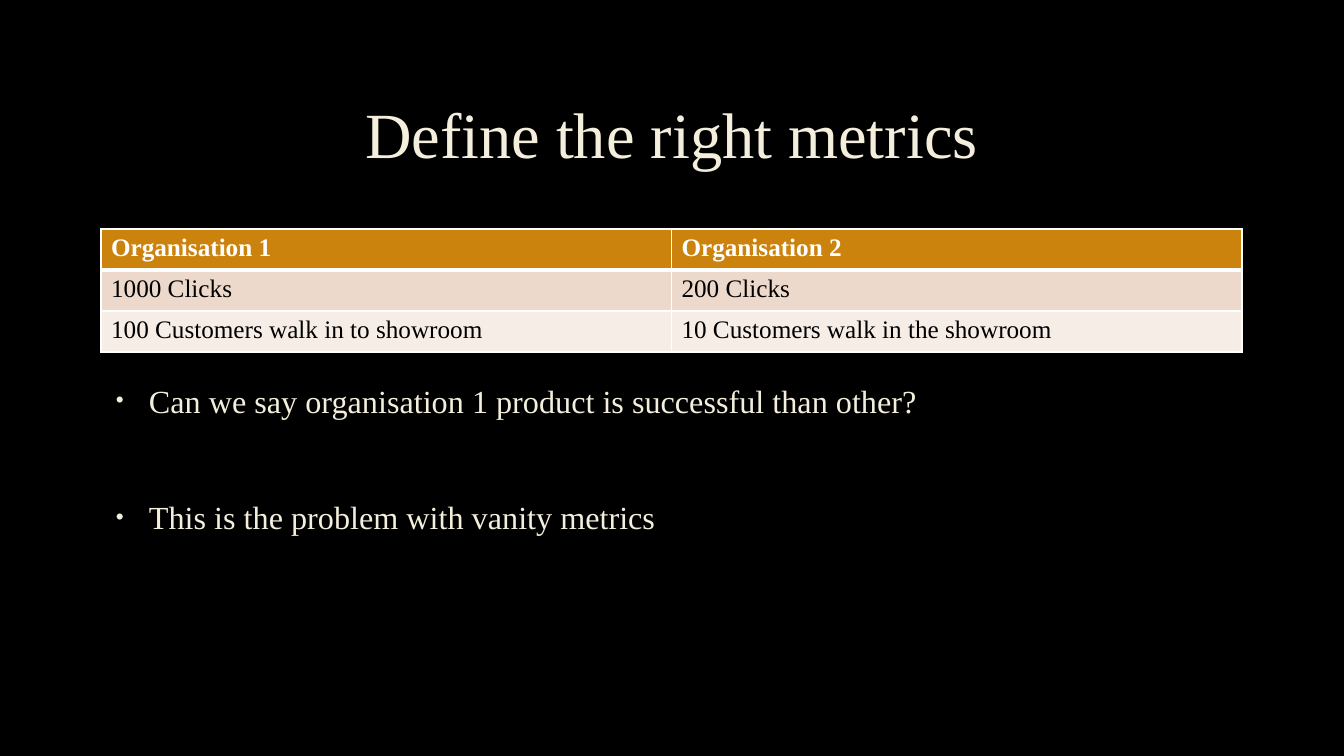
"""Build the slide about defining the right metrics."""
from lxml import etree
from pptx import Presentation
from pptx.dml.color import RGBColor
from pptx.enum.text import MSO_ANCHOR, PP_ALIGN
from pptx.oxml.ns import qn
from pptx.util import Pt

TITLE = "Define the right metrics"
ROWS = [
    ("Organisation 1", "Organisation 2"),
    ("1000 Clicks", "200 Clicks"),
    ("100 Customers walk in to showroom", "10 Customers walk in the showroom"),
]
BULLETS = [
    "Can we say organisation 1 product is successful than other?",
    "This is the problem with vanity metrics",
]

FONT = "Times New Roman"
BLACK = RGBColor(0x00, 0x00, 0x00)
WHITE = RGBColor(0xFF, 0xFF, 0xFF)
CREAM = RGBColor(0xF4, 0xEE, 0xDC)
ROW_FILLS = [
    RGBColor(0xCC, 0x83, 0x0E),
    RGBColor(0xEC, 0xD9, 0xCC),
    RGBColor(0xF6, 0xED, 0xE7),
]
CENTER = PP_ALIGN.CENTER
MIDDLE = MSO_ANCHOR.MIDDLE

SCALE = 12192000 / 1344
LEFT, WIDTH = 101, 1141
TITLE_TOP, TITLE_HEIGHT = 68, 139
TABLE_TOP, ROW_HEIGHT = 229, 41
BODY_TOP, BODY_HEIGHT, BODY_INSET = 366, 283, 11
BULLET_INDENT, BULLET_HANG = 38, 33
BULLET_GAP = 53


def px(length):
    return round(length * SCALE)


def style_font(font, size, color, bold=False):
    font.name = FONT
    font.size = Pt(size)
    font.bold = bold
    font.color.rgb = color


def add_text_frame(slide, top, height):
    box = slide.shapes.add_textbox(px(LEFT), px(top), px(WIDTH), px(height))
    box.text_frame.word_wrap = True
    return box.text_frame


def add_child(parent, tag, **attributes):
    return etree.SubElement(parent, qn(tag), attributes)


def add_borders(cell, widths):
    properties = cell._tc.get_or_add_tcPr()
    for index, (side, width) in enumerate(widths.items()):
        line = etree.Element(qn(f"a:{side}"), w=str(Pt(width)))
        fill = add_child(line, "a:solidFill")
        add_child(fill, "a:srgbClr", val=str(WHITE))
        properties.insert(index, line)


def add_bullet(paragraph):
    properties = paragraph._p.get_or_add_pPr()
    properties.set("marL", str(px(BULLET_INDENT)))
    properties.set("indent", str(-px(BULLET_HANG)))
    color = add_child(properties, "a:buClr")
    add_child(color, "a:srgbClr", val=str(CREAM))
    add_child(properties, "a:buSzPct", val="70000")
    add_child(properties, "a:buFont", typeface="Arial")
    add_child(properties, "a:buChar", char="•")


def add_title(slide):
    frame = add_text_frame(slide, TITLE_TOP, TITLE_HEIGHT)
    frame.vertical_anchor = MIDDLE
    paragraph = frame.paragraphs[0]
    paragraph.text = TITLE
    paragraph.alignment = CENTER
    paragraph.line_spacing = 0.9
    style_font(paragraph.font, 46, CREAM)


def add_metrics_table(slide):
    frame = slide.shapes.add_table(
        len(ROWS), len(ROWS[0]), px(LEFT), px(TABLE_TOP),
        px(WIDTH), px(ROW_HEIGHT * len(ROWS)))
    table = frame.table
    for row_index, (texts, fill) in enumerate(zip(ROWS, ROW_FILLS)):
        is_header = row_index == 0
        widths = {"lnL": 1, "lnR": 1,
                  "lnT": 3 if row_index == 1 else 1,
                  "lnB": 3 if is_header else 1}
        for column_index, text in enumerate(texts):
            cell = table.cell(row_index, column_index)
            cell.text = text
            cell.fill.solid()
            cell.fill.fore_color.rgb = fill
            add_borders(cell, widths)
            style_font(cell.text_frame.paragraphs[0].font, 18,
                       WHITE if is_header else BLACK, is_header)


def add_bullets(slide):
    frame = add_text_frame(slide, BODY_TOP, BODY_HEIGHT)
    frame.margin_top = px(BODY_INSET)
    for index, text in enumerate(BULLETS):
        paragraph = frame.add_paragraph() if index else frame.paragraphs[0]
        paragraph.text = text
        add_bullet(paragraph)
        paragraph.line_spacing = 1.1
        paragraph.space_before = Pt(BULLET_GAP if index else 0)
        style_font(paragraph.font, 23, CREAM)


def main():
    presentation = Presentation()
    presentation.slide_width = px(1344)
    presentation.slide_height = px(756)
    slide = presentation.slides.add_slide(presentation.slide_layouts[6])
    slide.background.fill.solid()
    slide.background.fill.fore_color.rgb = BLACK
    add_title(slide)
    add_metrics_table(slide)
    add_bullets(slide)
    presentation.save("out.pptx")


if __name__ == "__main__":
    main()
